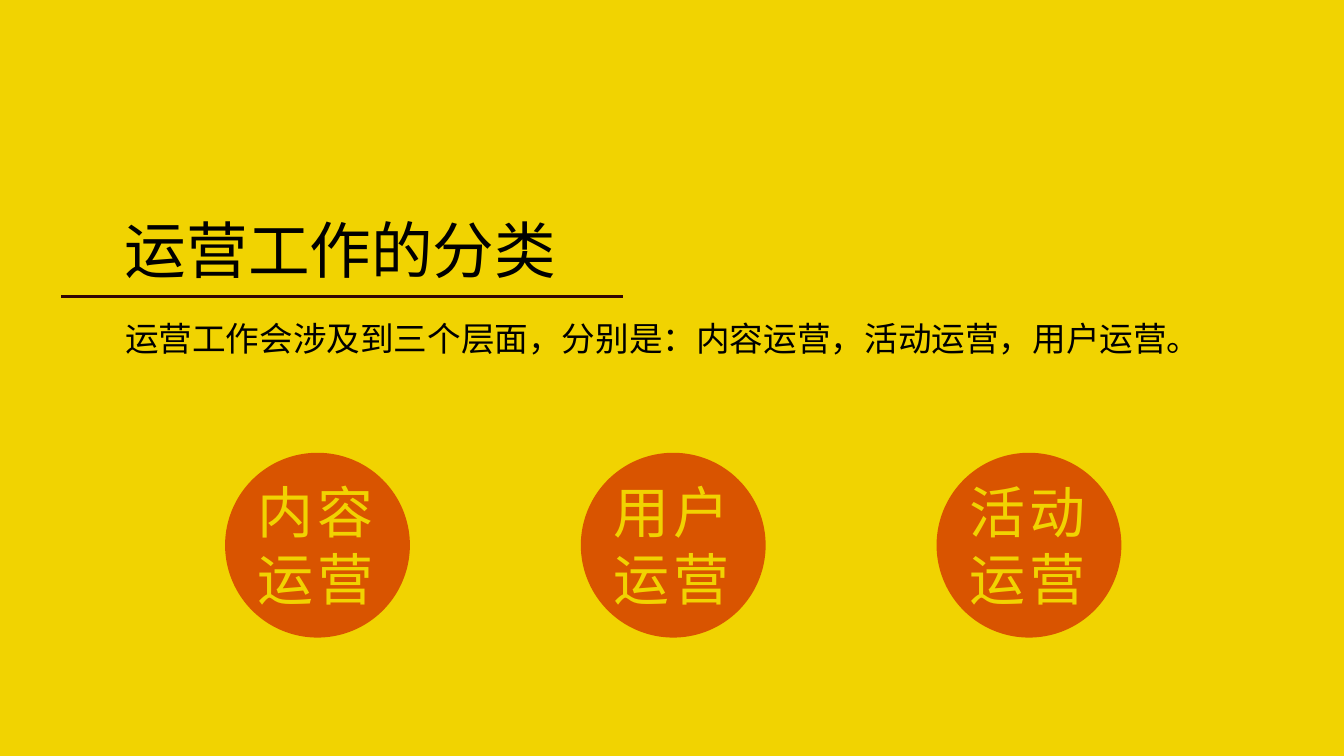
import pptx
import pptx.util
import pptx.dml.color
import pptx.enum.shapes
import pptx.enum.text
import pptx.oxml.ns
import lxml.etree

COLORS = {"yellow": "F1D301", "orange": "D95400", "black": "000000", "rule": "320501"}
FONT = "Noto Sans CJK SC"
COLUMNS, ROWS = 160, 90


def color(name):
    return pptx.dml.color.RGBColor.from_string(COLORS[name])


class Page:
    def __init__(self, deck):
        self.slide = deck.slides.add_slide(deck.slide_layouts[6])
        self.column = deck.slide_width / COLUMNS
        self.row = deck.slide_height / ROWS
        fill = self.slide.background.fill
        fill.solid()
        fill.fore_color.rgb = color("yellow")

    def cells(self, left, top, width, height):
        return (round(left * self.column), round(top * self.row),
                round(width * self.column), round(height * self.row))

    def text(self, wording, box, size, ink, align="LEFT", spacing=0):
        frame = self.slide.shapes.add_textbox(*self.cells(*box)).text_frame
        frame.word_wrap = True
        paragraph = frame.paragraphs[0]
        paragraph.text = wording
        paragraph.alignment = pptx.enum.text.PP_ALIGN[align]
        font = paragraph.font
        font.size = pptx.util.Pt(size)
        font.color.rgb = color(ink)
        font.name = FONT
        properties = paragraph._p.pPr.find(pptx.oxml.ns.qn("a:defRPr"))
        east_asian = lxml.etree.SubElement(properties, pptx.oxml.ns.qn("a:ea"))
        east_asian.set("typeface", FONT)
        if spacing:
            run = paragraph.runs[0]
            run._r.get_or_add_rPr().set("spc", str(spacing * 100))

    def circle(self, left, top, diameter, paint):
        disc = self.slide.shapes.add_shape(
            pptx.enum.shapes.MSO_SHAPE.OVAL, *self.cells(left, top, diameter, diameter))
        disc.shadow.inherit = False
        disc.fill.solid()
        disc.fill.fore_color.rgb = color(paint)
        disc.line.fill.background()

    def rule(self, left, right, top, width, paint):
        x1, y, x2, _ = self.cells(left, top, right, 0)
        line = self.slide.shapes.add_connector(
            pptx.enum.shapes.MSO_CONNECTOR.STRAIGHT, x1, y, x2, y)
        line.line.color.rgb = color(paint)
        line.line.width = pptx.util.Pt(width)
        lxml.etree.SubElement(line._element.spPr, pptx.oxml.ns.qn("a:effectLst"))


def main():
    deck = pptx.Presentation()
    deck.slide_width = pptx.util.Inches(13.33)
    deck.slide_height = pptx.util.Inches(7.5)
    page = Page(deck)

    page.text("运营工作的分类", (13.7, 24.7, 56, 10.1), 44, "black")
    page.text("运营工作会涉及到三个层面，分别是：内容运营，活动运营，用户运营。",
              (13.7, 37.3, 133.2, 6), 24, "black", align="JUSTIFY")

    first, step, top, diameter = 26.8, 42.35, 53.9, 22
    for index, branch in enumerate(("内容运营", "用户运营", "活动运营")):
        left = first + index * step
        page.circle(left, top, diameter, "orange")
        page.text(branch, (left + 2.7, top + 2.3, 21.1, 17.4), 40, "yellow", spacing=3)

    page.rule(7.3, 74.2, 35.3, 2.25, "rule")
    deck.save("out.pptx")


if __name__ == "__main__":
    main()
